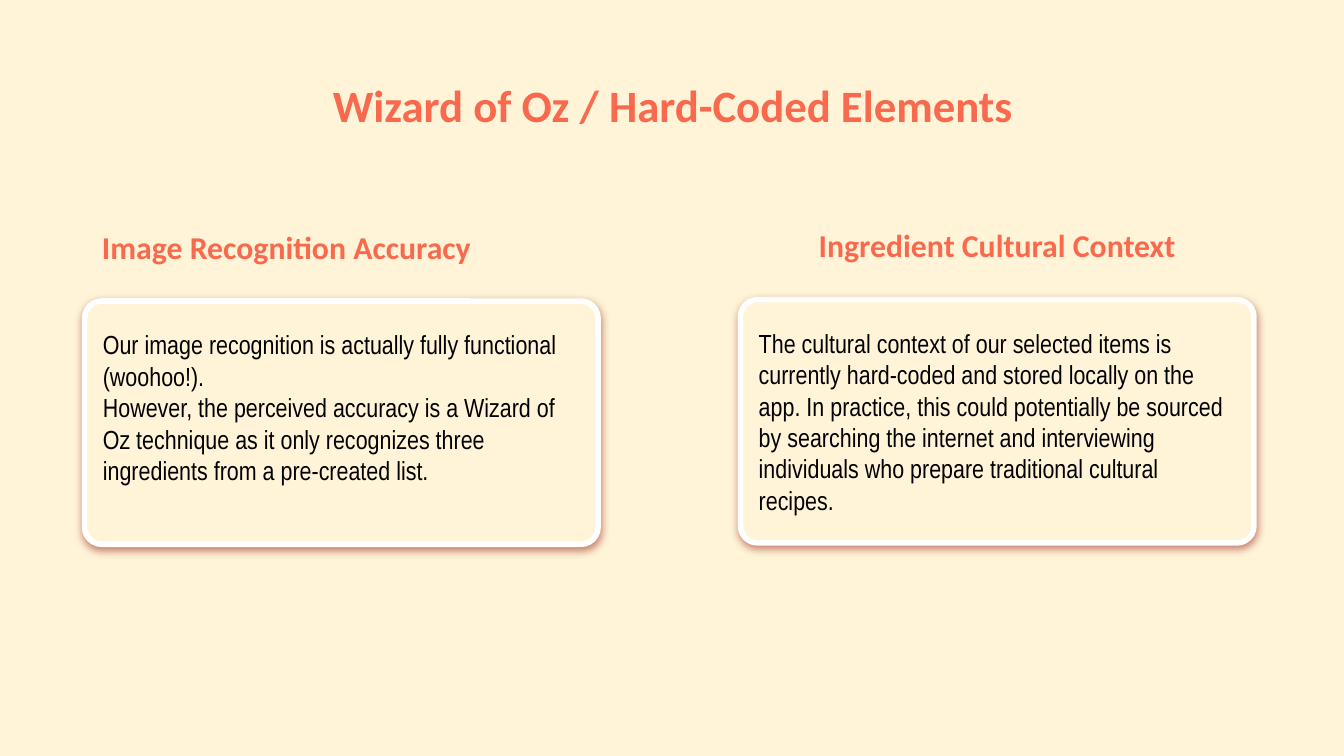
"""Builds a slide with a title and two headed cards."""
from lxml import etree
from pptx import Presentation, util as u
from pptx.dml.color import RGBColor
from pptx.enum import shapes, text
from pptx.oxml.ns import qn

CREAM, CORAL, WHITE, BLACK, SHADOW = "FFF4D8", "F8694D", "FFFFFF", "000000", "8A0B01"
TITLE = "Wizard of Oz / Hard-Coded Elements"
LEFT, CENTER = text.PP_ALIGN.LEFT, text.PP_ALIGN.CENTER
CARDS = [
    {"heading": "Image Recognition Accuracy", "align": LEFT,
     "heading_box": (0.66, 1.6, 3.75, 0.47), "left": 0.63, "bottom_inset": 0.33,
     "body": ["Our image recognition is actually fully functional (woohoo!).",
              "However, the perceived accuracy is a Wizard of Oz technique as it only "
              "recognizes three ingredients from a pre-created list."]},
    {"heading": "Ingredient Cultural Context", "align": CENTER,
     "heading_box": (5.66, 1.59, 3.52, 0.47), "left": 5.51, "bottom_inset": 0.1,
     "body": ["The cultural context of our selected items is currently hard-coded and "
              "stored locally on the app. In practice, this could potentially be sourced "
              "by searching the internet and interviewing individuals who prepare "
              "traditional cultural recipes."]},
]
CARD_WIDTH, CARD_HEIGHT, HEADING_TO_CARD = 3.82, 1.81, 0.64


def rgb(value):
    """Return the colour of a hex string."""
    return RGBColor.from_string(value)


def write(shape, lines, font, size, color, align, bold=False, bottom_inset=0.1):
    """Fill a shape with evenly formatted paragraphs."""
    frame = shape.text_frame
    frame.word_wrap = True
    frame.auto_size = text.MSO_AUTO_SIZE.NONE
    frame.vertical_anchor = text.MSO_ANCHOR.MIDDLE
    frame.margin_left = frame.margin_right = frame.margin_top = u.Inches(0.1)
    frame.margin_bottom = u.Inches(bottom_inset)
    frame.text = "\n".join(lines)
    for paragraph in frame.paragraphs:
        paragraph.alignment = align
        paragraph.font.name, paragraph.font.size = font, u.Pt(size)
        paragraph.font.bold = bold
        paragraph.font.color.rgb = rgb(color)


def add_shadow(shape):
    """Give a shape a soft shadow straight below it."""
    shape.shadow.inherit = False
    effects = shape._element.spPr.find(qn("a:effectLst"))
    shadow = etree.SubElement(effects, qn("a:outerShdw"), blurRad=str(u.Pt(4.5)),
                              dist=str(u.Pt(1.5)), dir="5400000",
                              algn="bl", rotWithShape="0")
    color = etree.SubElement(shadow, qn("a:srgbClr"), val=SHADOW)
    etree.SubElement(color, qn("a:alpha"), val="50000")


def add_card(slide, card):
    """Add a heading and the rounded card below it."""
    box = card["heading_box"]
    heading = slide.shapes.add_textbox(*map(u.Inches, box))
    write(heading, [card["heading"]], "Calibri", 17, CORAL, card["align"], True)
    place = (card["left"], box[1] + HEADING_TO_CARD, CARD_WIDTH, CARD_HEIGHT)
    shape = slide.shapes.add_shape(shapes.MSO_SHAPE.ROUNDED_RECTANGLE,
                                   *map(u.Inches, place))
    shape.adjustments[0] = 0.07
    shape.fill.solid()
    shape.fill.fore_color.rgb = rgb(CREAM)
    shape.line.color.rgb = rgb(WHITE)
    shape.line.width = u.Pt(3)
    add_shadow(shape)
    write(shape, card["body"], "Arial Narrow", 14, BLACK, LEFT,
          bottom_inset=card["bottom_inset"])


def main():
    """Build and save the presentation."""
    presentation = Presentation()
    presentation.slide_width = u.Inches(10)
    presentation.slide_height = presentation.slide_width * 9 // 16
    slide = presentation.slides.add_slide(presentation.slide_layouts[5])
    slide.background.fill.solid()
    slide.background.fill.fore_color.rgb = rgb(CREAM)
    title = slide.shapes.title
    title.left, title.top, title.width, title.height = map(
        u.Inches, (0.79, 0.54, 8.43, 0.47))
    write(title, [TITLE], "Calibri", 24, CORAL, CENTER, True)
    for card in CARDS:
        add_card(slide, card)
    presentation.save("out.pptx")


if __name__ == "__main__":
    main()
